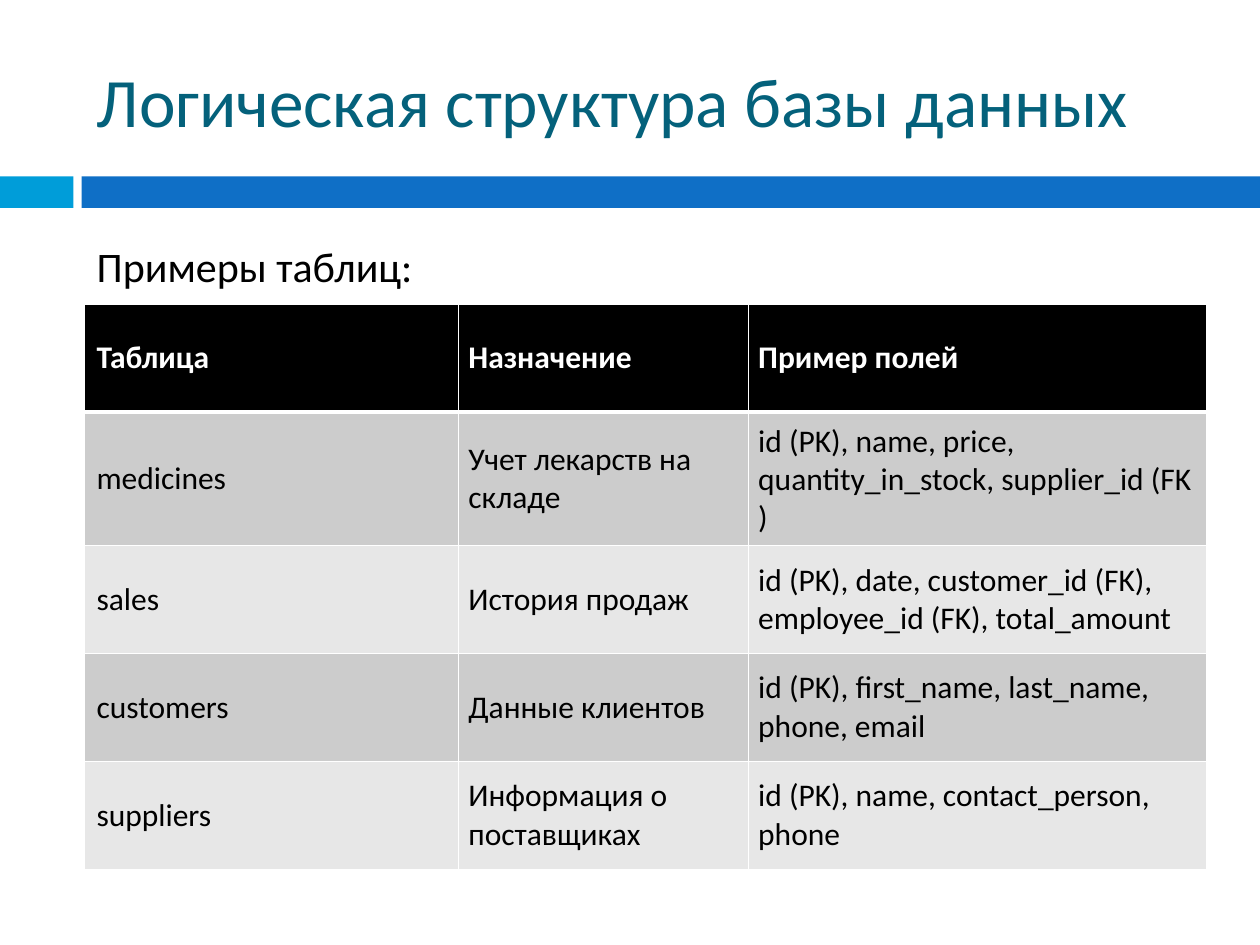
from lxml import etree
from pptx import Presentation
from pptx.dml.color import RGBColor
from pptx.enum import shapes, text
from pptx.oxml import ns
from pptx.util import Pt

COLORS = {
    "title": "04617B", "accent": "009DD9", "band": "0F6FC6",
    "white": "FFFFFF", "black": "000000",
    "odd_row": "CCCCCC", "even_row": "E7E7E7",
}
LEFT, WIDTH = 48.2, 642.2
COLUMN_WIDTHS = (213.8, 165.6, 262.1)
ROW_HEIGHT = 61.7
NO_BREAK_SPACE = chr(160)

HEADER = ("Таблица", "Назначение", "Пример полей")
ROWS = (
    ("medicines", "Учет лекарств на складе",
     ("id (PK), name, price,", "quantity_in_stock, supplier_id (FK)")),
    ("sales", "История продаж",
     ("id (PK), date, customer_id (FK),", "employee_id (FK), total_amount")),
    ("customers", "Данные клиентов",
     ("id (PK), first_name, last_name,", "phone, email")),
    ("suppliers", "Информация о поставщиках",
     ("id (PK), name, contact_person,", "phone")),
)


def color(name):
    return RGBColor.from_string(COLORS[name])


def apply(target, values):
    for name, value in values.items():
        setattr(target, name, value)


def add_span(para, words, size, ink, bold=False):
    span = para.add_run()
    span.text = words
    apply(span.font, {"name": "Calibri", "size": Pt(size), "bold": bold})
    span.font.color.rgb = color(ink)


def add_bar(page, left, width, fill):
    bar = page.shapes.add_shape(
        shapes.MSO_SHAPE.RECTANGLE, Pt(left), Pt(100.8), Pt(width), Pt(18))
    bar.shadow.inherit = False
    bar.fill.solid()
    bar.fill.fore_color.rgb = color(fill)
    bar.line.fill.background()


def add_label(page, frame, words, size, ink, layout):
    box = page.shapes.add_textbox(*map(Pt, frame))
    apply(box.text_frame, layout)
    add_span(box.text_frame.paragraphs[0], words, size, ink)


def set_borders(cell, top, bottom):
    properties = cell._tc.get_or_add_tcPr()
    sides = {"L": 1, "R": 1, "T": top, "B": bottom}
    for index, (side, weight) in enumerate(sides.items()):
        line = etree.Element(ns.qn(f"a:ln{side}"), w=str(Pt(weight)))
        fill = etree.SubElement(line, ns.qn("a:solidFill"))
        etree.SubElement(fill, ns.qn("a:srgbClr"), val=COLORS["white"])
        properties.insert(index, line)


def fill_cell(cell, content, row, column):
    is_header = row == 0
    fill = "black" if is_header else "odd_row" if row % 2 else "even_row"
    cell.fill.solid()
    cell.fill.fore_color.rgb = color(fill)
    apply(cell, {
        "vertical_anchor": text.MSO_ANCHOR.MIDDLE,
        "margin_left": Pt(5.7 if column else 7),
        "margin_right": Pt(5.7), "margin_top": Pt(5.7), "margin_bottom": Pt(5.7),
    })
    set_borders(cell, top=3 if row == 1 else 1, bottom=3 if is_header else 1)

    # Field lists keep their own line breaks
    if isinstance(content, tuple):
        lines = [line.replace(" ", NO_BREAK_SPACE) for line in content]
    else:
        lines = [content]
    para = cell.text_frame.paragraphs[0]
    for index, line in enumerate(lines):
        if index:
            para.add_line_break()
        add_span(para, line, 18, "white" if is_header else "black", is_header)


def add_schema_table(page):
    records = (HEADER, *ROWS)
    table = page.shapes.add_table(
        len(records), len(HEADER), Pt(LEFT), Pt(173.8),
        Pt(WIDTH), Pt(ROW_HEIGHT * len(records))).table
    for column, width in zip(table.columns, COLUMN_WIDTHS):
        column.width = Pt(width)
    for row, record in enumerate(records):
        table.rows[row].height = Pt(ROW_HEIGHT)
        for column, content in enumerate(record):
            fill_cell(table.cell(row, column), content, row, column)


def main():
    deck = Presentation()
    apply(deck, {"slide_width": Pt(720), "slide_height": Pt(540)})
    page = deck.slides.add_slide(deck.slide_layouts[6])

    # Divider under the title
    add_bar(page, 0, 42, "accent")
    add_bar(page, 46.6, 673.4, "band")

    # Title and table caption
    add_label(page, (LEFT, 18, WIDTH, 78), "Логическая структура базы данных",
              39.6, "title",
              {"word_wrap": True, "vertical_anchor": text.MSO_ANCHOR.MIDDLE})
    add_label(page, (LEFT, 134, 196.6, 36), "Примеры таблиц:", 24, "black",
              {"word_wrap": False,
               "auto_size": text.MSO_AUTO_SIZE.SHAPE_TO_FIT_TEXT})

    # Database tables
    add_schema_table(page)
    deck.save("out.pptx")


if __name__ == "__main__":
    main()
